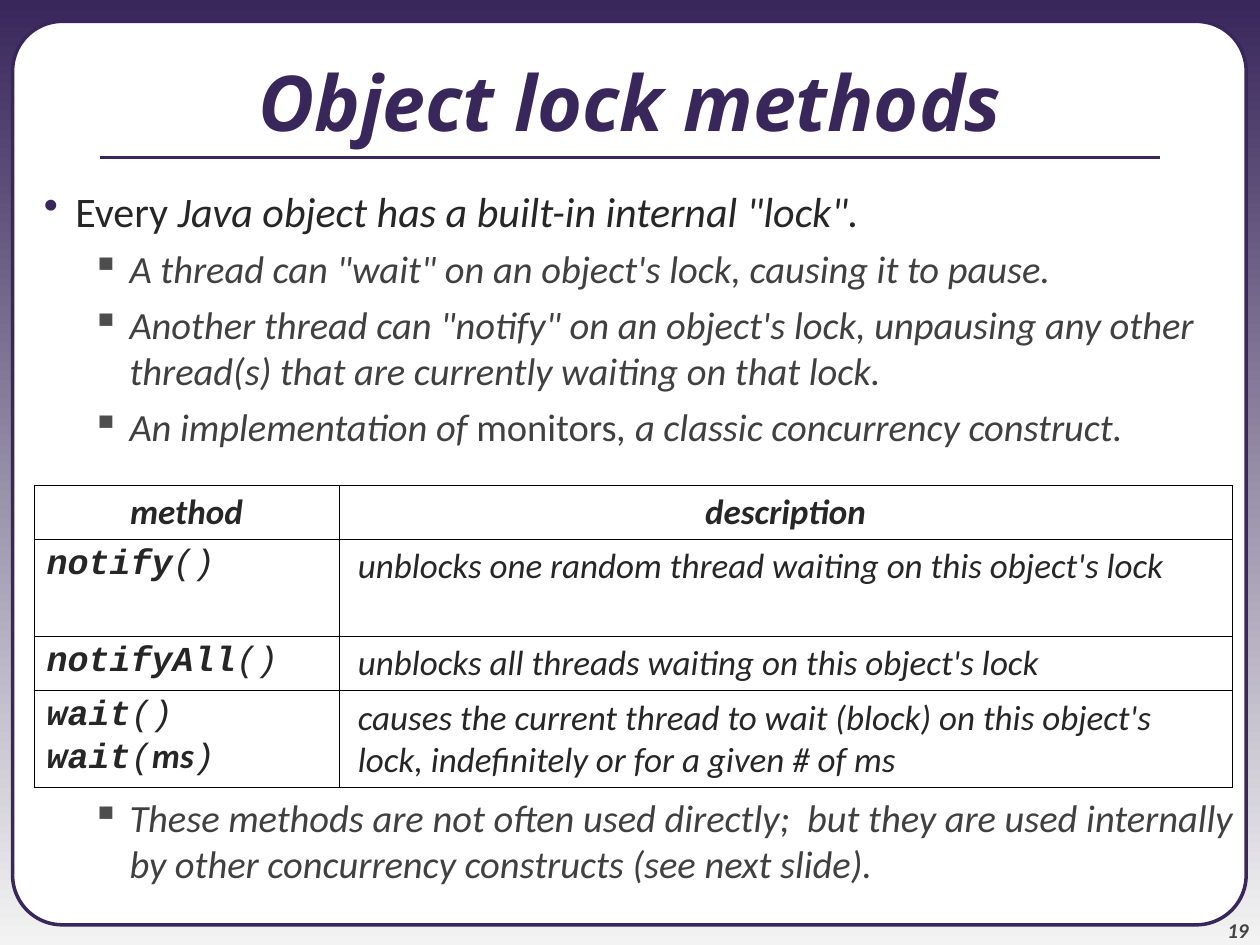
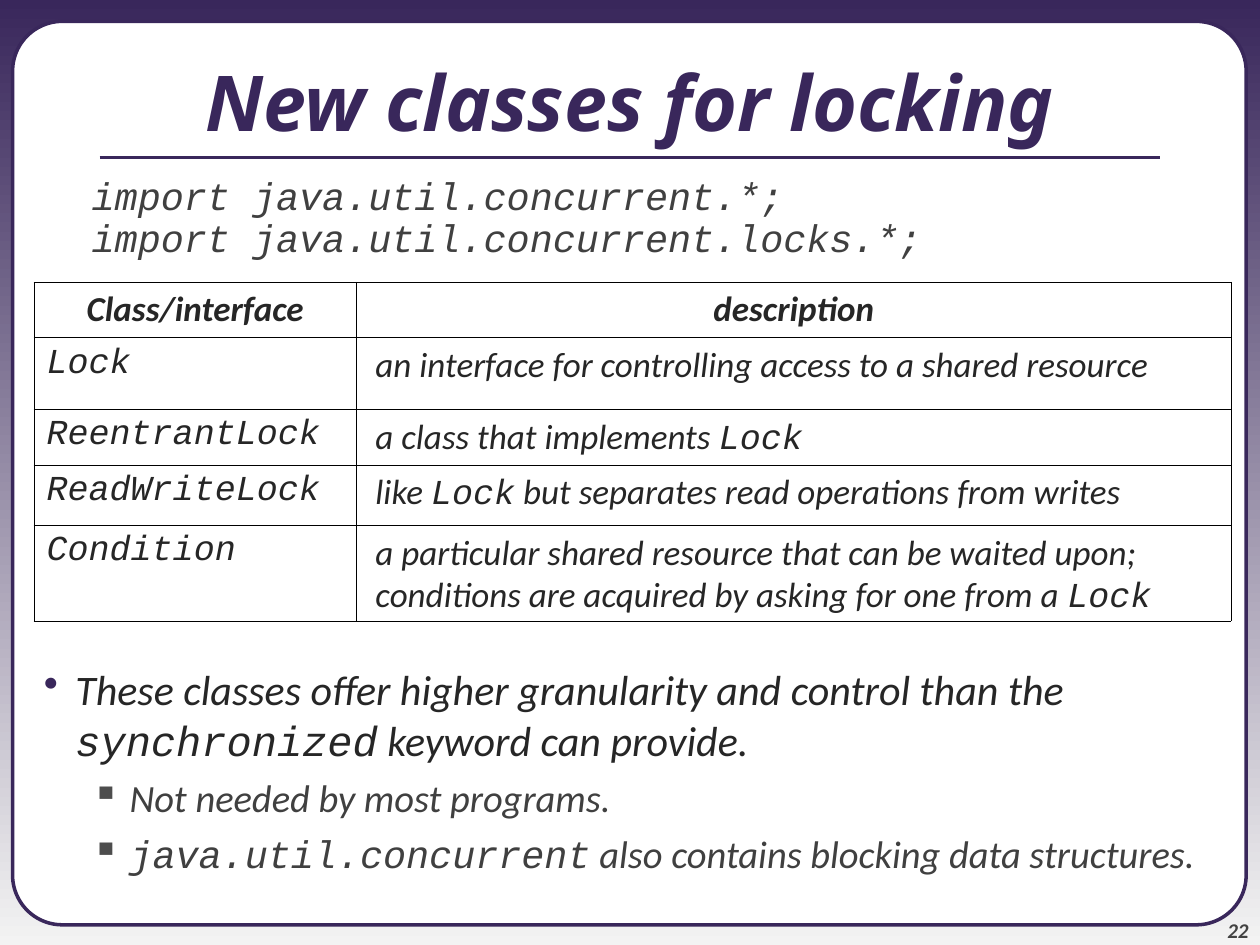
from lxml import etree
from pptx import Presentation
from pptx.dml.color import RGBColor
from pptx.enum import shapes, text
from pptx.oxml import ns
from pptx.util import Inches, Pt

PURPLE, DARK, GRAY, MARK = "39275B", "262626", "404040", "4D4D4D"
SANS, MONO = "Calibri", "Courier New"
ALIGN, ANCHOR = text.PP_ALIGN, text.MSO_ANCHOR


def rgb(code):
    return RGBColor.from_string(code)


def write(frame, runs, size=20, color=DARK, font=SANS, bold=False, align=None,
          before=5, line=None, left=0, hang=0, bullet=None):
    """Add a paragraph; runs are (words, flags): m mono, b bold, r upright."""
    para = frame.paragraphs[-1]
    if para.runs:
        para = frame.add_paragraph()
    para.alignment = align
    para.space_before = Pt(before)
    para.line_spacing = line
    props = para._p.get_or_add_pPr()
    props.set("marL", str(Inches(left)))
    props.set("indent", str(Inches(-hang)))
    if bullet:
        char, tint = bullet
        shade = etree.SubElement(props, ns.qn("a:buClr"))
        etree.SubElement(shade, ns.qn("a:srgbClr"), val=tint)
        etree.SubElement(props, ns.qn("a:buChar"), char=char)
    for words, flags in [(runs, "")] if isinstance(runs, str) else runs:
        if words == "\n":
            para.add_line_break()
            continue
        run = para.add_run()
        run.text = words
        run.font.name = MONO if "m" in flags else font
        run.font.size = Pt(size)
        run.font.bold = bold or "b" in flags
        run.font.italic = "r" not in flags
        run.font.color.rgb = rgb(color)


TOP = dict(size=24, before=6, left=0.5, hang=0.25, bullet=("•", PURPLE))
CODE = dict(size=22, color=GRAY, before=5.5, left=0.93, hang=0.3)
SUB = dict(CODE, bullet=("▪", MARK))
IMPORT = dict(CODE, font=MONO, line=0.7)

# The space before the paragraph below each table leaves room for that table.
pages = [
    dict(
        title="Object lock methods", number="19",
        body=[
            ([("Every", "r"), (' Java object has a built-in internal "lock".', "")], TOP),
            ('A thread can "wait" on an object\'s lock, causing it to pause.', SUB),
            ('Another thread can "notify" on an object\'s lock, unpausing any other '
             "thread(s) that are currently waiting on that lock.", SUB),
            ([("An implementation of ", ""), ("monitors", "r"),
              (", a classic concurrency construct.", "")], SUB),
            ("These methods are not often used directly;  but they are used internally "
             "by other concurrency constructs (see next slide).", dict(SUB, before=197)),
        ],
        top=3.85, cols=[2.42, 7.09], heights=[0.43, 0.77, 0.43, 0.77],
        rows=[
            ("method", "description"),
            ([("notify", "mb"), ("()", "m")],
             "unblocks one random thread waiting on this object's lock"),
            ([("notifyAll", "mb"), ("()", "m")],
             "unblocks all threads waiting on this object's lock"),
            ([("wait", "mb"), ("()", "m"), ("\n", ""), ("wait", "mb"), ("(", "m"),
              ("ms", "b"), (")", "m")],
             "causes the current thread to wait (block) on this object's lock, "
             "indefinitely or for a given # of ms"),
        ]),
    dict(
        title="New classes for locking", number="22",
        body=[
            ("import java.util.concurrent.*;", IMPORT),
            ("import java.util.concurrent.locks.*;", IMPORT),
            ([("These classes offer higher granularity and control than the ", ""),
              ("synchronized", "m"), (" keyword can provide.", "")],
             dict(TOP, before=231)),
            ("Not needed by most programs.", SUB),
            ([("java.util.concurrent", "m"),
              (" also contains blocking data structures.", "")], SUB),
        ],
        top=2.24, cols=[2.56, 6.94], heights=[0.44, 0.57, 0.44, 0.48, 0.76],
        rows=[
            ("Class/interface", "description"),
            ([("Lock", "m")], "an interface for controlling access to a shared resource"),
            ([("ReentrantLock", "m")],
             [("a class that implements ", ""), ("Lock", "m")]),
            ([("ReadWriteLock", "m")],
             [("like ", ""), ("Lock", "m"),
              (" but separates read operations from writes", "")]),
            ([("Condition", "m")],
             [("a particular shared resource that can be waited upon; conditions are "
               "acquired by asking for one from a ", ""), ("Lock", "m")]),
        ]),
]

deck = Presentation()
deck.slide_width, deck.slide_height = Inches(10), Inches(7.5)
back = deck.slide_master.background.fill
back.gradient()
back.gradient_angle = 270
for stop, tint in zip(back.gradient_stops, (PURPLE, "F3F3F3")):
    stop.color.rgb = rgb(tint)

for page in pages:
    slide = deck.slides.add_slide(deck.slide_layouts[6])

    panel = slide.shapes.add_shape(
        shapes.MSO_SHAPE.ROUNDED_RECTANGLE,
        Inches(0.1), Inches(0.17), Inches(9.79), Inches(7.17))
    panel.adjustments[0] = 0.055
    panel.shadow.inherit = False
    panel.fill.solid()
    panel.fill.fore_color.rgb = rgb("FFFFFF")
    panel.line.color.rgb = rgb(PURPLE)
    panel.line.width = Pt(2)

    rule = slide.shapes.add_connector(
        shapes.MSO_CONNECTOR.STRAIGHT,
        Inches(0.79), Inches(1.25), Inches(9.21), Inches(1.25))
    rule.line.color.rgb = rgb(PURPLE)
    rule.line.width = Pt(2.25)
    etree.SubElement(rule._element.spPr, ns.qn("a:effectLst"))

    title = [(page["title"], dict(size=44, color=PURPLE, font="Noto Sans", bold=True,
                                  align=ALIGN.CENTER, before=0))]
    number = [(page["number"], dict(size=12, color="424242", bold=True,
                                    align=ALIGN.RIGHT))]
    for place, anchor, inset, paras in [
            ((9.08, 7.08, 0.83, 0.4), ANCHOR.BOTTOM, 0, number),
            ((0, 0.17, 10, 1.25), ANCHOR.MIDDLE, 0.1, title),
            ((0, 1.42, 10, 6.08), ANCHOR.TOP, 0.1, page["body"])]:
        frame = slide.shapes.add_textbox(*map(Inches, place)).text_frame
        frame.word_wrap = True
        frame.vertical_anchor = anchor
        frame.margin_left = frame.margin_right = Inches(inset)
        frame.margin_top = frame.margin_bottom = Inches(inset / 2)
        for words, style in paras:
            write(frame, words, **style)

    rows, cols, heights = page["rows"], page["cols"], page["heights"]
    grid = slide.shapes.add_table(
        len(rows), len(cols), Inches(0.27), Inches(page["top"]),
        Inches(sum(cols)), Inches(sum(heights))).table
    grid.first_row = grid.horz_banding = False
    for col, width in zip(grid.columns, cols):
        col.width = Inches(width)
    for r, row in enumerate(rows):
        grid.rows[r].height = Inches(heights[r])
        for c, words in enumerate(row):
            cell = grid.cell(r, c)
            cell.margin_left = cell.margin_right = Inches(0.1)
            cell.margin_top = cell.margin_bottom = Inches(0.05)
            edges = dict(lnL=c == 0, lnR=c == len(cols) - 1,
                         lnT=r == 0, lnB=r == len(rows) - 1)
            for edge, outer in edges.items():
                line = etree.SubElement(cell._tc.get_or_add_tcPr(), ns.qn("a:" + edge),
                                        w=str(Pt(0.5 if outer else 0.23)))
                fill = etree.SubElement(line, ns.qn("a:solidFill"))
                etree.SubElement(fill, ns.qn("a:srgbClr"), val="000000")
            cell.fill.background()
            if r == 0:
                style = dict(bold=True, align=ALIGN.CENTER, line=0.98)
            elif c == 0:
                style = dict(line=0.96)
            else:
                style = dict(line=0.98, left=0.05)
            write(cell.text_frame, words, **style)

deck.save("out.pptx")
